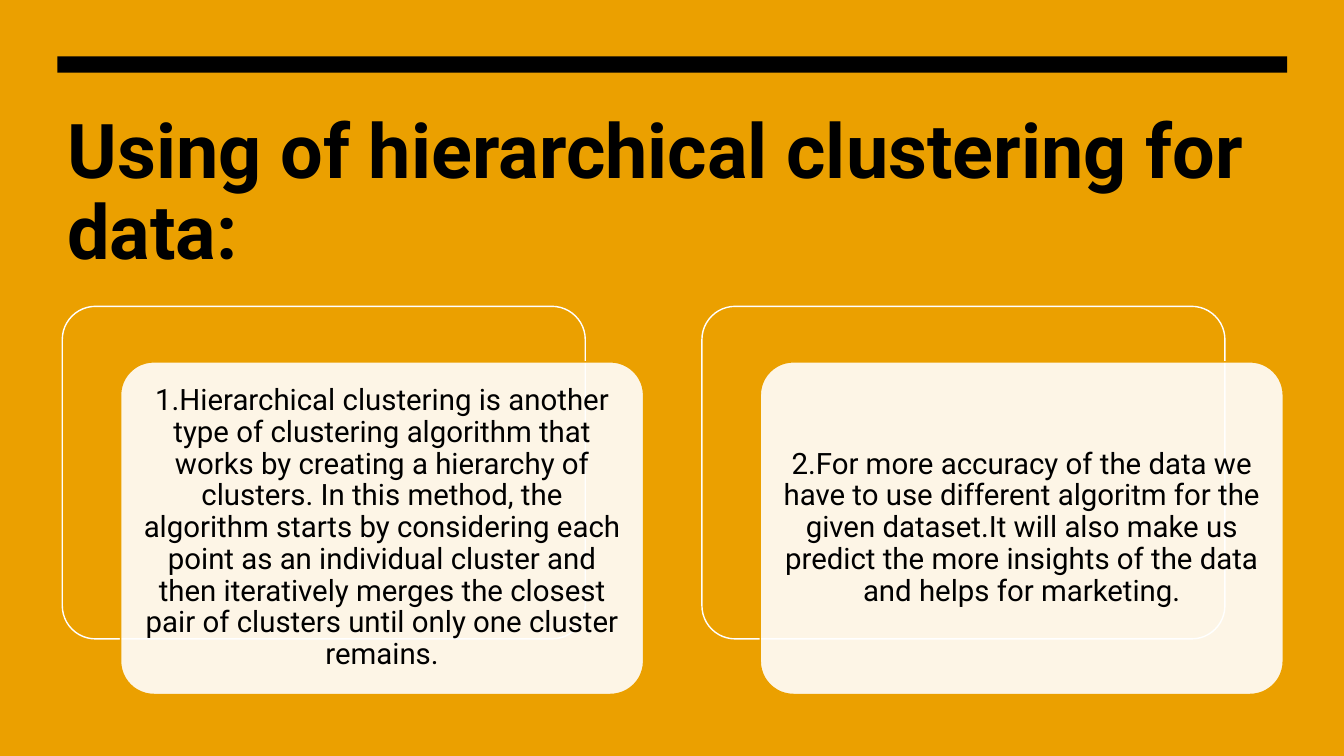
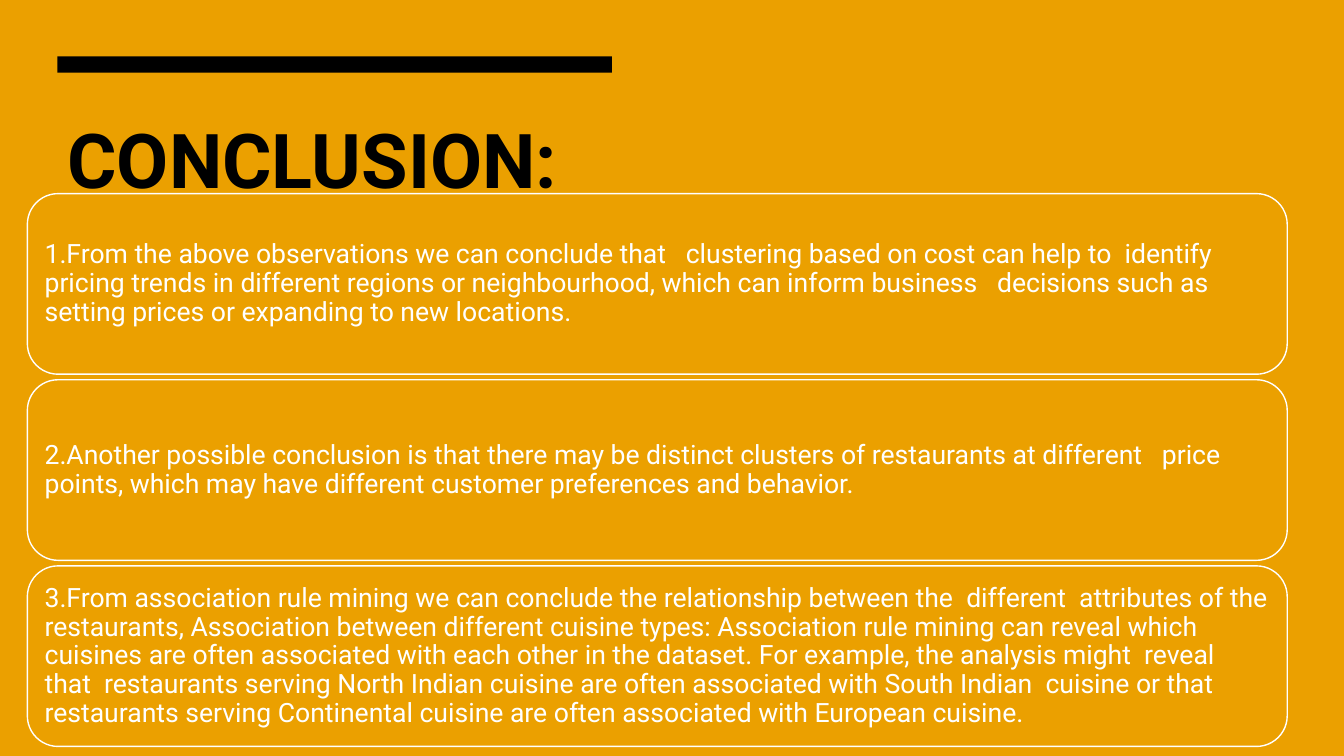
"""Build two slides on hierarchical clustering and the conclusions of the analysis."""
from lxml import etree
from pptx import Presentation
from pptx import util as u
from pptx.dml.color import RGBColor
from pptx.enum import shapes, text
from pptx.oxml.ns import qn

CLUSTERING_TITLE = "Using of hierarchical clustering for data:"
CLUSTERING_POINTS = [
    "1.Hierarchical clustering is another type of clustering algorithm that works by "
    "creating a hierarchy of clusters. In this method, the algorithm starts by considering "
    "each point as an\u00a0individual cluster and then iteratively merges the closest pair "
    "of clusters until only one cluster remains.",
    "2.For more accuracy of the data we have to use different algoritm for the given "
    "dataset.It will also make us predict the more insights of the data and helps for "
    "marketing.",
]
CONCLUSION_TITLE = "CONCLUSION:"
CONCLUSIONS = [
    "1.From the above observations we can conclude that\u00a0\u00a0 clustering based on cost "
    "can help to\u00a0 identify pricing trends in different regions or neighbourhood, which "
    "can inform business\u00a0 \u00a0decisions such as setting prices or expanding to new "
    "locations.",
    "2.Another possible conclusion is that there may be distinct clusters of restaurants at "
    "different\u00a0 \u00a0price points, which may have different customer preferences and "
    "behavior.",
    "3.From association rule mining we can conclude the relationship between the\u00a0 "
    "different\u00a0 attributes of the restaurants,\u00a0Association between different "
    "cuisine types: Association rule mining can reveal which\u00a0 cuisines are often "
    "associated with each other in the dataset. For example, the analysis might\u00a0 "
    "reveal\u00a0 that\u00a0 restaurants serving North Indian cuisine are often associated "
    "with South Indian\u00a0 cuisine or that restaurants serving Continental cuisine are "
    "often associated with European cuisine.",
]

AMBER = RGBColor(0xEB, 0xA0, 0x00)
BLACK = RGBColor(0, 0, 0)
WHITE = RGBColor(0xFF, 0xFF, 0xFF)
FONT = "Roboto"
MARGIN = 1.45
CARD_INSET = u.Cm(0.21)

deck = Presentation()
deck.slide_width, deck.slide_height = u.Cm(33.87), u.Cm(19.05)


def write(frame, words, size, color, bold=False, spacing=0.9):
    frame.word_wrap = True
    paragraph = frame.paragraphs[0]
    paragraph.line_spacing = spacing
    run = paragraph.add_run()
    run.text = words
    run.font.name, run.font.size, run.font.bold = FONT, u.Pt(size), bold
    run.font.color.rgb = color
    return paragraph


def add_block(slide, kind, box, fill, line=None):
    block = slide.shapes.add_shape(kind, *map(u.Cm, box))
    block.shadow.inherit = False
    block.fill.solid()
    block.fill.fore_color.rgb = fill
    if line is None:
        block.line.fill.background()
    else:
        block.line.color.rgb = line
        block.line.width = u.Pt(1)
    return block


def add_card(slide, box, rounding, fill=AMBER, line=WHITE):
    card = add_block(slide, shapes.MSO_SHAPE.ROUNDED_RECTANGLE, box, fill, line)
    card.adjustments[0] = rounding
    return card


def fill_card(card, words, size, color, align, space_after):
    frame = card.text_frame
    frame.margin_left = frame.margin_right = CARD_INSET
    frame.margin_top = frame.margin_bottom = CARD_INSET
    frame.vertical_anchor = text.MSO_ANCHOR.MIDDLE
    paragraph = write(frame, words, size, color)
    paragraph.alignment = align
    paragraph.space_after = u.Pt(space_after)


def add_titled_slide(title, width, height, spacing):
    slide = deck.slides.add_slide(deck.slide_layouts[6])
    slide.background.fill.solid()
    slide.background.fill.fore_color.rgb = AMBER
    heading = slide.shapes.add_textbox(*map(u.Cm, (MARGIN, 2.72, width, height)))
    write(heading.text_frame, title, 54, BLACK, True, spacing)
    add_block(slide, shapes.MSO_SHAPE.RECTANGLE, (MARGIN, 1.42, width, 0.41), BLACK)
    return slide


clustering = add_titled_slide(CLUSTERING_TITLE, 30.99, 4.55, 0.9)
CARD_WIDTH, CARD_HEIGHT, CARD_PITCH = 13.18, 8.38, 16.12
for column, point in enumerate(CLUSTERING_POINTS):
    left, top = 1.57 + column * CARD_PITCH, 7.72
    add_card(clustering, (left, top, CARD_WIDTH, CARD_HEIGHT), 0.1)
    front = add_card(clustering, (left + 1.47, top + 1.4, CARD_WIDTH, CARD_HEIGHT), 0.1,
                     WHITE, AMBER)
    white = front.fill._xPr.find(qn("a:solidFill"))[0]
    etree.SubElement(white, qn("a:alpha")).set("val", "90000")
    fill_card(front, point, 21, BLACK, text.PP_ALIGN.CENTER, 9)

conclusion = add_titled_slide(CONCLUSION_TITLE, 13.97, 7.19, 1.0)
ROW_HEIGHT, ROW_PITCH = 4.55, 4.69
for row, finding in enumerate(CONCLUSIONS):
    panel = add_card(conclusion, (0.69, 4.88 + row * ROW_PITCH, 31.75, ROW_HEIGHT), 0.17)
    fill_card(panel, finding, 19, WHITE, text.PP_ALIGN.LEFT, 8)

deck.save("out.pptx")
